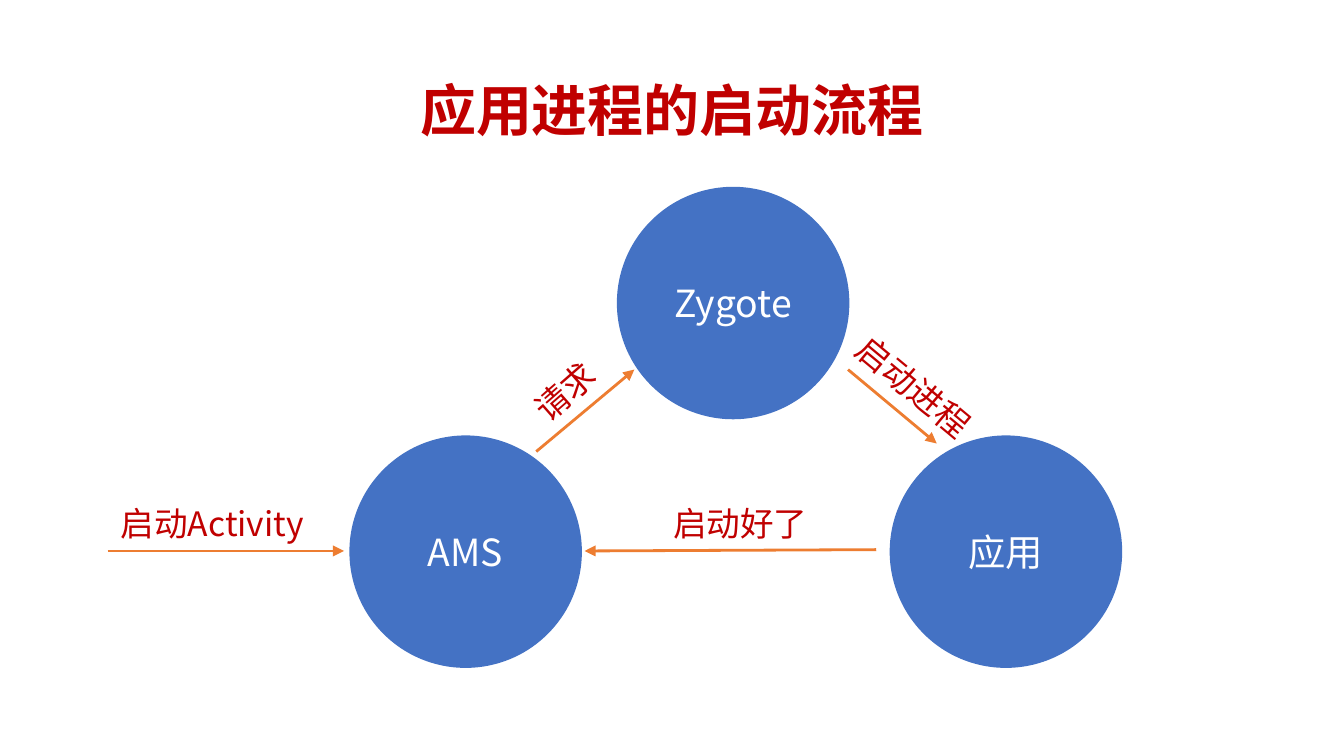
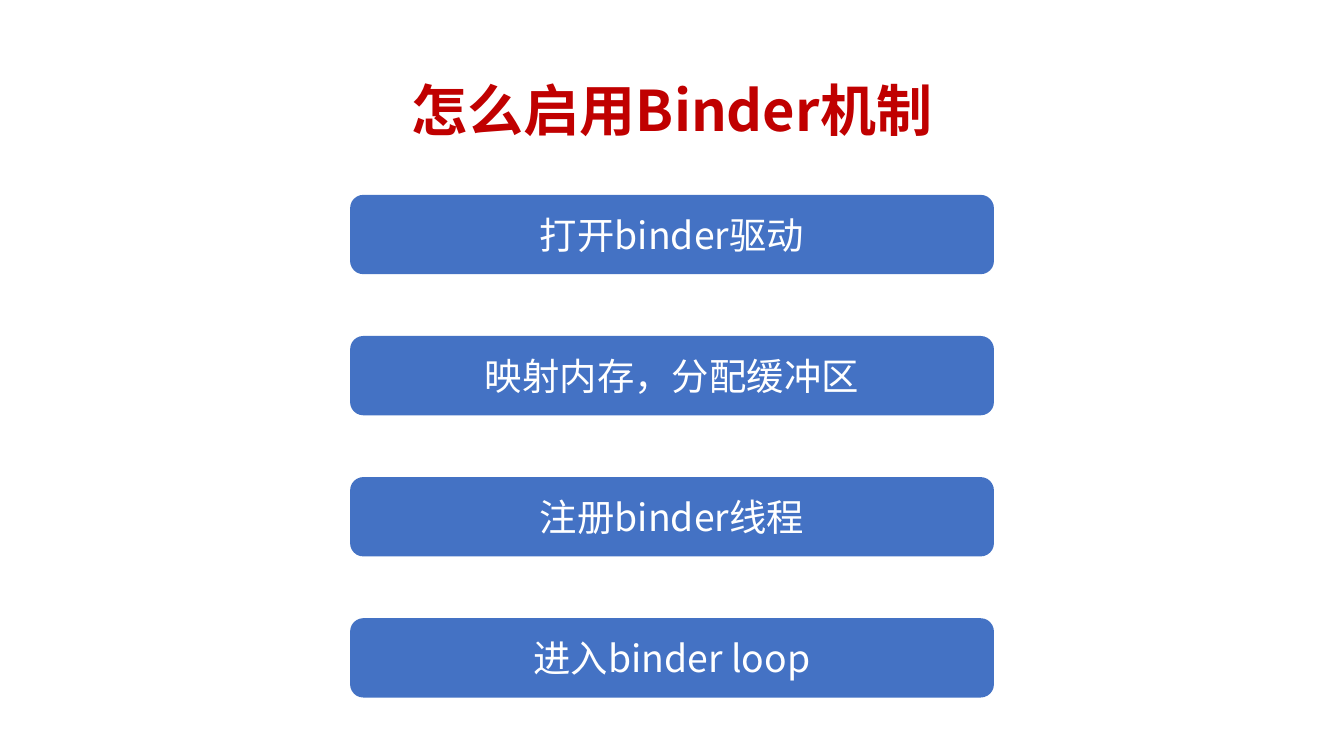
from lxml.etree import SubElement
from pptx import Presentation
from pptx.dml.color import RGBColor
from pptx.enum.shapes import MSO_CONNECTOR as Connector, MSO_SHAPE as Shape
from pptx.enum.text import MSO_ANCHOR as Anchor, MSO_AUTO_SIZE as AutoSize, PP_ALIGN as Align
from pptx.oxml.ns import qn
from pptx.util import Inches, Pt

WIDTH, HEIGHT = 10, 5.625
FONT = "Noto Sans CJK SC"
COLORS = {"accent": "C00000", "node": "4472C4", "arrow": "ED7D31", "light": "FFFFFF"}

FLOW_TITLE = "应用进程的启动流程"
DIAMETER = 1.73
PROCESSES = [("Zygote", 4.59, 1.39), ("AMS", 2.6, 3.24), ("应用", 6.62, 3.24)]
MESSAGES = [
    ("启动Activity", (0.8, 3.69, 1.6), 0, (0.8, 4.1), (2.56, 4.1)),
    ("请求", (3.85, 2.71, 0.71), 318.7, (3.99, 3.36), (4.72, 2.75)),
    ("启动进程", (6.2, 2.68, 1.21), 39.9, (6.31, 2.75), (6.97, 3.3)),
    ("启动好了", (4.91, 3.69, 1.21), 0, (6.52, 4.09), (4.35, 4.1)),
]
MESSAGE_HEIGHT = 0.4

BINDER_TITLE = "怎么启用Binder机制"
BINDER_STEPS = ["打开binder驱动", "映射内存，分配缓冲区", "注册binder线程", "进入binder loop"]
STEP_WIDTH, STEP_HEIGHT = 4.79, 0.59
STEP_TOP, STEP_PITCH = 1.45, 1.05


def color(name):
    return RGBColor.from_string(COLORS[name])


def write(shape, text, size, ink, align=Align.CENTER, anchor=Anchor.MIDDLE, bold=False):
    frame = shape.text_frame
    frame.text = text
    frame.word_wrap = True
    frame.vertical_anchor = anchor
    paragraph = frame.paragraphs[0]
    paragraph.alignment = align
    font = paragraph.runs[0].font
    font.size, font.bold, font.name = Pt(size), bold, FONT
    font.color.rgb = color(ink)
    SubElement(paragraph.runs[0]._r.rPr, qn("a:ea"), typeface=FONT)
    return frame


def add_textbox(slide, *box):
    return slide.shapes.add_textbox(*map(Inches, box))


def add_titled_slide(deck, title):
    slide = deck.slides.add_slide(deck.slide_layouts[6])
    heading = add_textbox(slide, 0.69, 0.3, WIDTH - 2 * 0.69, 1.09)
    frame = write(heading, title, 30, "accent", bold=True)
    frame.paragraphs[0].line_spacing = 0.9
    return slide


def add_node(slide, outline, text, *box):
    node = slide.shapes.add_shape(outline, *map(Inches, box))
    node.shadow.inherit = False
    node.fill.solid()
    node.fill.fore_color.rgb = color("node")
    node.line.fill.background()
    write(node, text, 20, "light")


def add_arrow(slide, start, end):
    arrow = slide.shapes.add_connector(Connector.STRAIGHT, *map(Inches, start + end))
    arrow.line.color.rgb = color("arrow")
    arrow.line.width = Pt(1.5)
    SubElement(arrow.line._get_or_add_ln(), qn("a:tailEnd"), type="triangle")
    SubElement(arrow._element.spPr, qn("a:effectLst"))


def add_message(slide, text, place, angle, start, end):
    add_arrow(slide, start, end)
    label = add_textbox(slide, *place, MESSAGE_HEIGHT)
    label.rotation = angle
    frame = write(label, text, 18, "accent", Align.LEFT, Anchor.TOP)
    frame.auto_size = AutoSize.SHAPE_TO_FIT_TEXT


def build_flow(deck):
    slide = add_titled_slide(deck, FLOW_TITLE)
    for process, left, top in PROCESSES:
        add_node(slide, Shape.OVAL, process, left, top, DIAMETER, DIAMETER)
    for message in MESSAGES:
        add_message(slide, *message)


def build_binder(deck):
    slide = add_titled_slide(deck, BINDER_TITLE)
    left = (WIDTH - STEP_WIDTH) / 2
    for row, step in enumerate(BINDER_STEPS):
        top = STEP_TOP + row * STEP_PITCH
        add_node(slide, Shape.ROUNDED_RECTANGLE, step, left, top, STEP_WIDTH, STEP_HEIGHT)


def main():
    deck = Presentation()
    deck.slide_width, deck.slide_height = Inches(WIDTH), Inches(HEIGHT)
    build_flow(deck)
    build_binder(deck)
    deck.save("out.pptx")


if __name__ == "__main__":
    main()
